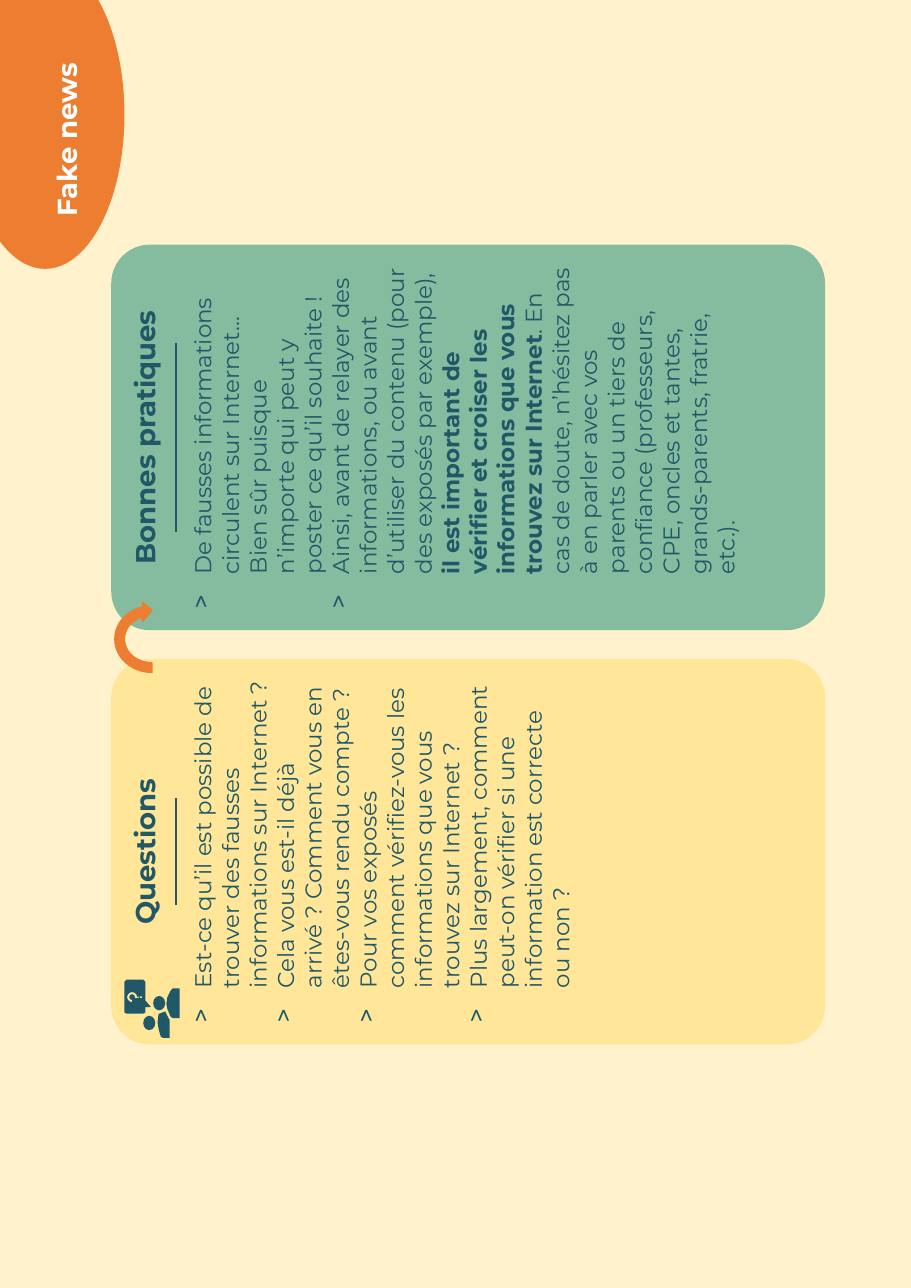
import math
from lxml import etree
from pptx import Presentation
from pptx.dml.color import RGBColor
from pptx.enum import shapes, text
from pptx.oxml.ns import qn
from pptx.util import Inches, Pt

COLORS = {"page": "FFF2CC", "yellow": "FFE699", "green": "85BC9F",
          "orange": "ED7D31", "ink": "215868", "white": "FFFFFF"}
FONT = "Montserrat"
BADGE_TITLE = "Fake news"

# Each bullet is a list of (words, bold) runs.
CARDS = [
    {"title": "Questions", "fill": "yellow", "center_y": 7.73, "rule": 0.97, "bullets": [
        [("Est-ce qu’il est possible de trouver des fausses informations sur Internet ?", False)],
        [("Cela vous est-il déjà arrivé ? Comment vous en êtes-vous rendu compte ?", False)],
        [("Pour vos exposés comment vérifiez-vous les informations que vous trouvez "
          "sur Internet ?", False)],
        [("Plus largement, comment peut-on vérifier si une information est correcte "
          "ou non ?", False)],
    ]},
    {"title": "Bonnes pratiques", "fill": "green", "center_y": 3.97, "rule": 1.72, "bullets": [
        [("De fausses informations circulent sur Internet… Bien sûr puisque n’importe qui "
          "peut y poster ce qu’il souhaite !", False)],
        [("Ainsi, avant de relayer des informations, ou avant d’utiliser du contenu "
          "(pour des exposés par exemple),", False),
         (" il est important de vérifier et croiser les informations que vous trouvez "
          "sur Internet", True),
         (". En cas de doute, n’hésitez pas à en parler avec vos parents ou un tiers de "
          "confiance (professeurs, CPE, oncles et tantes, grands-parents, fratrie, etc.).",
          False)],
    ]},
]
CARD_X, CARD_WIDTH, CARD_HEIGHT, RULE_X = 4.25, 3.5, 6.48, 1.6

HEADS = [(1.355, 9.285), (1.445, 9.105)]
HEAD_WIDTH, HEAD_HEIGHT = 0.11, 0.13
FRONT_BODY = [(1.63, 8.97), (1.57, 8.97), (1.55, 8.99), (1.52, 9.05), (1.51, 9.11),
              (1.52, 9.16), (1.55, 9.23), (1.57, 9.24), (1.63, 9.24)]
BACK_BODY = [(1.53, 9.24), (1.5, 9.18), (1.45, 9.2), (1.44, 9.2), (1.43, 9.28),
             (1.44, 9.34), (1.46, 9.41), (1.48, 9.42), (1.54, 9.42), (1.54, 9.26)]
BUBBLE = [(1.13, 8.91), (1.13, 9.19), (1.15, 9.2), (1.3, 9.2), (1.32, 9.19), (1.32, 9.14),
          (1.37, 9.14), (1.32, 9.08), (1.32, 8.91), (1.3, 8.89), (1.15, 8.89)]


def color(name):
    return RGBColor.from_string(COLORS[name])


def paint(shape, fill):
    shape.shadow.inherit = False
    shape.fill.solid()
    shape.fill.fore_color.rgb = color(fill)
    shape.line.fill.background()
    return shape


def place_turned(shape, center_x, center_y, width, height):
    """Centre a shape on a point, turned a quarter to the left."""
    shape.left, shape.top = Inches(center_x - width / 2), Inches(center_y - height / 2)
    shape.width, shape.height = Inches(width), Inches(height)
    shape.rotation = 270


def add_turned(kind, fill, center_x, center_y, width, height):
    shape = paint(page.shapes.add_shape(kind, 0, 0, 0, 0), fill)
    place_turned(shape, center_x, center_y, width, height)
    return shape


def add_span(para, words, size, ink="ink", bold=False):
    span = para.add_run()
    span.text = words
    span.font.name, span.font.size, span.font.bold = FONT, Pt(size), bold
    span.font.color.rgb = color(ink)


def add_bullet(para):
    props = para._p.get_or_add_pPr()
    props.set("marL", str(Inches(0.31)))
    props.set("indent", str(-Inches(0.31)))
    etree.SubElement(props, qn("a:buChar")).set("char", ">")


def add_card(card):
    box = add_turned(shapes.MSO_SHAPE.ROUNDED_RECTANGLE, card["fill"],
                     CARD_X, card["center_y"], CARD_WIDTH, CARD_HEIGHT)
    box.adjustments[0] = 0.1
    frame = box.text_frame
    frame.word_wrap, frame.vertical_anchor = True, text.MSO_ANCHOR.TOP
    heading = frame.paragraphs[0]
    heading.alignment = text.PP_ALIGN.CENTER
    add_span(heading, card["title"], 18, bold=True)
    for number, bullet in enumerate(card["bullets"]):
        para = frame.add_paragraph()
        para.alignment = text.PP_ALIGN.LEFT
        para.space_before = Pt(0 if number else 18)
        add_bullet(para)
        for words, bold in bullet:
            add_span(para, words, 15, bold=bold)

    half = card["rule"] / 2
    rule = page.shapes.add_connector(
        shapes.MSO_CONNECTOR.STRAIGHT, Inches(RULE_X), Inches(card["center_y"] + half),
        Inches(RULE_X), Inches(card["center_y"] - half))
    rule.line.color.rgb, rule.line.width = color("ink"), Pt(1.5)
    etree.SubElement(rule._element.spPr, qn("a:effectLst"))


def arc(center_x, center_y, radius, start, end, steps=16):
    angles = [math.radians(start + (end - start) * i / steps) for i in range(steps + 1)]
    return [(center_x + radius * math.cos(a), center_y + radius * math.sin(a)) for a in angles]


def add_outline(group, *contours):
    """Draw closed contours as one shape; later contours cut holes."""
    builder = None
    for contour in contours:
        start, *others = [(Inches(x), Inches(y)) for x, y in contour]
        if builder is None:
            builder = group.shapes.build_freeform(*start, scale=1.0)
        else:
            builder.move_to(*start)
        builder.add_line_segments(others, close=True)
    paint(builder.convert_to_shape(), "ink")


def add_discussion_icon():
    group = page.shapes.add_group_shape()
    for x, y in HEADS:
        paint(group.shapes.add_shape(
            shapes.MSO_SHAPE.OVAL, Inches(x - HEAD_WIDTH / 2), Inches(y - HEAD_HEIGHT / 2),
            Inches(HEAD_WIDTH), Inches(HEAD_HEIGHT)), "ink")
    add_outline(group, FRONT_BODY)
    add_outline(group, BACK_BODY)
    hook = (arc(1.2, 9.05, 0.045, 90, 360) + [(1.26, 9.04), (1.26, 9.06), (1.22, 9.06)]
            + arc(1.2, 9.05, 0.025, 360, 90))
    dot = arc(1.28, 9.05, 0.01, 0, 360)
    add_outline(group, BUBBLE, hook, dot)


def add_badge():
    add_turned(shapes.MSO_SHAPE.OVAL, "orange", 0.41, 1.04, 2.8, 1.44)
    title = page.shapes.title
    place_turned(title, 0.6, 1.27, 2, 0.4)
    title.element.getparent().append(title.element)  # in front of the badge
    frame = title.text_frame
    frame.auto_size, frame.word_wrap = text.MSO_AUTO_SIZE.NONE, True
    frame.vertical_anchor = text.MSO_ANCHOR.MIDDLE
    frame.paragraphs[0].alignment = text.PP_ALIGN.CENTER
    add_span(frame.paragraphs[0], BADGE_TITLE, 18, "white", True)


deck = Presentation()
deck.slide_width, deck.slide_height = Inches(8.27), Inches(11.69)
page = deck.slides.add_slide(deck.slide_layouts[5])
page.background.fill.solid()
page.background.fill.fore_color.rgb = color("page")

for card in CARDS:
    add_card(card)
arrow = add_turned(shapes.MSO_SHAPE.CIRCULAR_ARROW, "orange", 1.38, 5.8, 0.69, 0.76)
arrow.line.color.rgb, arrow.line.width = color("orange"), Pt(1)
add_badge()
add_discussion_icon()
deck.save("out.pptx")
